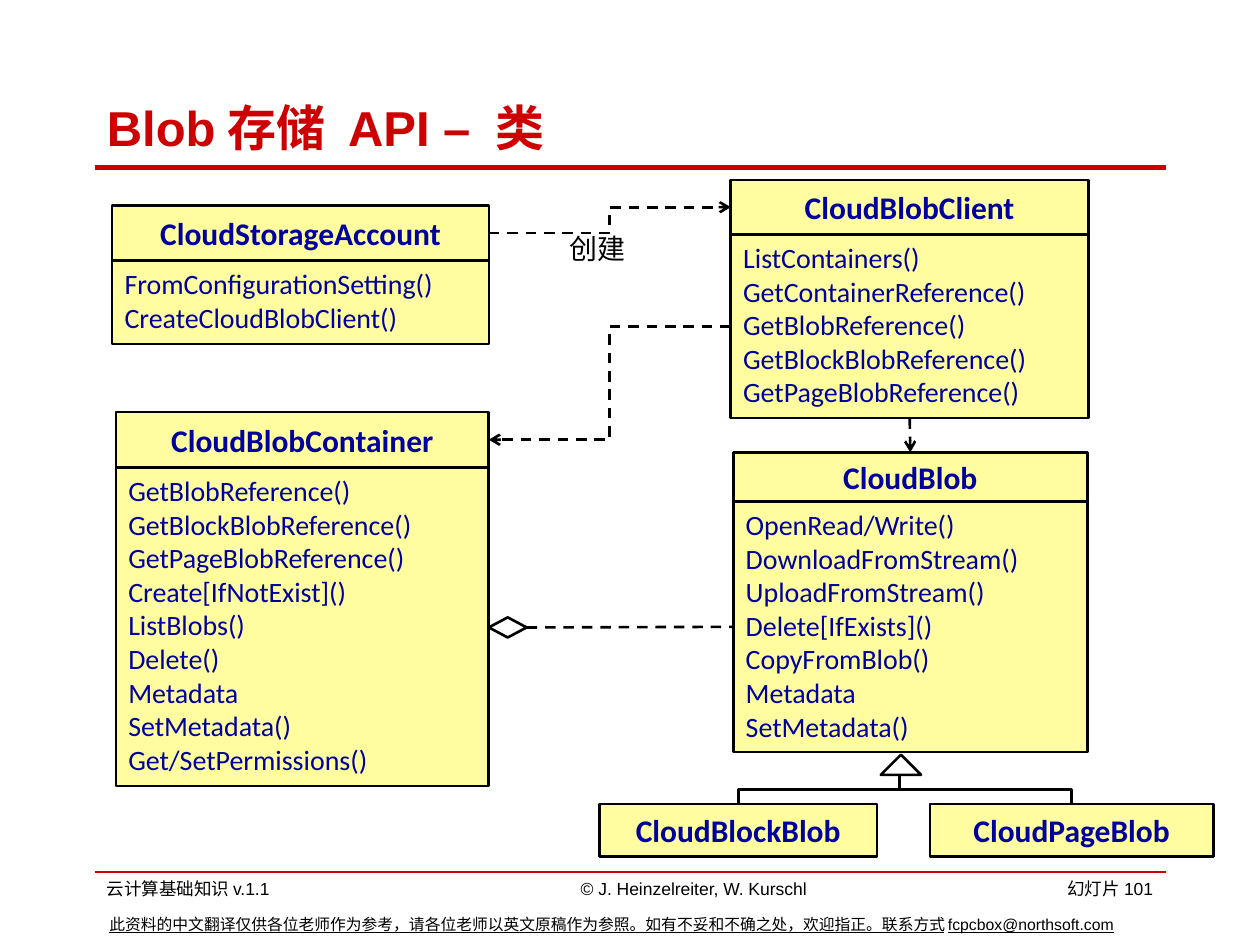
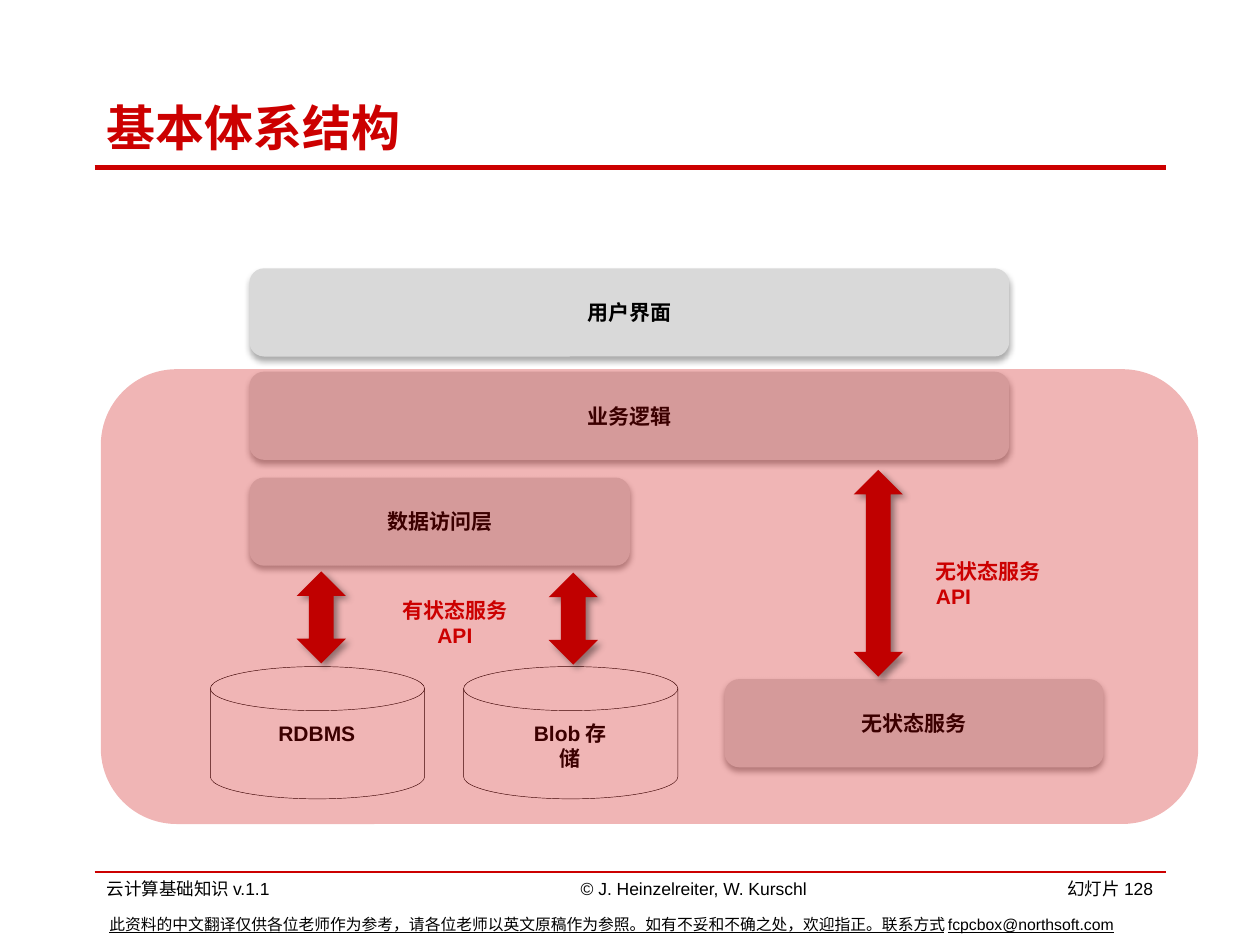
from lxml import etree
from pptx import Presentation
from pptx import util as u
from pptx.dml.color import RGBColor
from pptx.enum import dml, shapes, text
from pptx.oxml import ns

RED = RGBColor(0xCC, 0x00, 0x00)
DARK = RGBColor(0xC0, 0x00, 0x00)
BLACK = RGBColor(0x00, 0x00, 0x00)
NAVY = RGBColor(0x00, 0x00, 0x9E)
CREAM = RGBColor(0xFF, 0xFD, 0x9F)
GREY = RGBColor(0xD9, 0xD9, 0xD9)

PX = 9144
SHAPE = shapes.MSO_SHAPE
LINK = shapes.MSO_CONNECTOR
ALIGN = text.PP_ALIGN
ANCHOR = text.MSO_ANCHOR
TOP, LEFT, BOTTOM, RIGHT = range(4)


def emu(*sizes):
    return [u.Emu(round(size * PX)) for size in sizes]


def write(shape, lines, size, color=BLACK, face="Arial", bold=False, under=False,
          align=ALIGN.LEFT, anchor=ANCHOR.TOP, wrap=True):
    frame = shape.text_frame
    frame.word_wrap = wrap
    frame.vertical_anchor = anchor
    for i, line in enumerate(lines):
        para = frame.paragraphs[0] if i == 0 else frame.add_paragraph()
        para.alignment = align
        run = para.add_run()
        run.text = line
        font = run.font
        font.name, font.size, font.bold = face, u.Pt(size), bold
        font.underline = under
        font.color.rgb = color
    return frame


def label(slide, box, lines, size, **style):
    return write(slide.shapes.add_textbox(*emu(*box)), lines, size, **style)


def draw(slide, kind, box, fill=None, line=None, width=1.5):
    shape = slide.shapes.add_shape(kind, *emu(*box))
    shape.shadow.inherit = False
    if fill is None:
        shape.fill.background()
    else:
        shape.fill.solid()
        shape.fill.fore_color.rgb = fill
    if line is None:
        shape.line.fill.background()
    else:
        shape.line.color.rgb = line
        shape.line.width = u.Pt(width)
    return shape


def shade(shape, alpha, blur, dist, angle):
    effect = shape._element.spPr.find(ns.qn("a:effectLst"))
    outer = etree.SubElement(effect, ns.qn("a:outerShdw"), blurRad=str(u.Pt(blur)),
                             dist=str(u.Pt(dist)), dir=str(angle * 60000),
                             algn="ctr", rotWithShape="0")
    color = etree.SubElement(outer, ns.qn("a:srgbClr"), val=str(BLACK))
    etree.SubElement(color, ns.qn("a:alpha"), val=str(alpha * 1000))


def wire(slide, kind, ends, color=BLACK, width=1.5, dash=False, arrow=False):
    line = slide.shapes.add_connector(kind, *emu(*ends))
    line.line.color.rgb = color
    line.line.width = u.Pt(width)
    if dash:
        line.line.dash_style = dml.MSO_LINE.DASH
    if arrow:
        etree.SubElement(line.line._get_or_add_ln(), ns.qn("a:tailEnd"), type="arrow")
    etree.SubElement(line._element.spPr, ns.qn("a:effectLst"))
    return line


def join(slide, kind, start, out, end, into, arrow=True):
    line = wire(slide, kind, (0, 0, 0, 0), dash=True, arrow=arrow)
    line.begin_connect(start, out)
    line.end_connect(end, into)


def branch(slide, x, y, to_x, to_y):
    mid_x, mid_y = (x + to_x) / 2, (y + to_y) / 2
    half_x, half_y = (to_x - x) / 2, (to_y - y) / 2
    line = wire(slide, LINK.ELBOW, (mid_x - half_y, mid_y + half_x,
                                    mid_x + half_y, mid_y - half_x))
    line._element.spPr.find(ns.qn("a:xfrm")).set("rot", "5400000")


def base(deck, title, page):
    slide = deck.slides.add_slide(deck.slide_layouts[6])
    for y, width in ((692, 1), (133, 3)):
        wire(slide, LINK.STRAIGHT, (75, y, 925, y), RED, width)
    label(slide, (75, 67, 858, 67), [title], 28, color=RED, bold=True,
          anchor=ANCHOR.MIDDLE)
    label(slide, (75, 692, 296, 27), ["云计算基础知识v.1.1"], 10)
    label(slide, (449, 692, 203, 27), ["© J. Heinzelreiter, W. Kurschl"], 10,
          align=ALIGN.CENTER, wrap=False)
    label(slide, (825, 692, 100, 27), [f"幻灯片{page}"], 10, align=ALIGN.RIGHT)
    label(slide, (77, 721, 861, 25),
          ["此资料的中文翻译仅供各位老师作为参考，请各位老师以英文原稿作为参照。"
           "如有不妥和不确之处，欢迎指正。联系方式fcpcbox@northsoft.com"], 9, under=True)
    return slide


def head(slide, box, name):
    shape = draw(slide, SHAPE.RECTANGLE, box, CREAM, BLACK)
    write(shape, [name], 18, NAVY, "Calibri", bold=True,
          align=ALIGN.CENTER, anchor=ANCHOR.MIDDLE)
    return shape


def entry(slide, box, split, name, calls):
    x, y, w, h = box
    top = head(slide, (x, y, w, split), name)
    body = draw(slide, SHAPE.RECTANGLE, (x, y + split, w, h - split), CREAM, BLACK)
    write(body, calls, 16, NAVY, "Calibri")
    return top, body


def classes(deck):
    slide = base(deck, "Blob存储 API – 类", 101)
    client, finder = entry(slide, (580, 143, 284, 189), 43, "CloudBlobClient", [
        "ListContainers()", "GetContainerReference()", "GetBlobReference()",
        "GetBlockBlobReference()", "GetPageBlobReference()"])
    account, _ = entry(slide, (89, 163, 299, 110), 44, "CloudStorageAccount", [
        "FromConfigurationSetting()", "CreateCloudBlobClient()"])
    holder, _ = entry(slide, (92, 327, 296, 297), 44, "CloudBlobContainer", [
        "GetBlobReference()", "GetBlockBlobReference()", "GetPageBlobReference()",
        "Create[IfNotExist]()", "ListBlobs()", "Delete()", "Metadata",
        "SetMetadata()", "Get/SetPermissions()"])
    blob, store = entry(slide, (582, 359, 281, 238), 39, "CloudBlob", [
        "OpenRead/Write()", "DownloadFromStream()", "UploadFromStream()",
        "Delete[IfExists]()", "CopyFromBlob()", "Metadata", "SetMetadata()"])
    label(slide, (424, 179, 100, 31), ["创建"], 16, align=ALIGN.CENTER)
    join(slide, LINK.ELBOW, account, RIGHT, client, LEFT)
    join(slide, LINK.ELBOW, finder, LEFT, holder, RIGHT)
    join(slide, LINK.STRAIGHT, finder, BOTTOM, blob, TOP)
    whole = draw(slide, SHAPE.FLOWCHART_DECISION, (388, 490, 30, 16), line=BLACK)
    join(slide, LINK.STRAIGHT, whole, RIGHT, store, LEFT, arrow=False)
    heirs(slide, 714, 599)


def heirs(slide, x, y):
    tip = draw(slide, SHAPE.UP_ARROW, (x - 15, y, 32, 16), line=BLACK)
    tip.adjustments[0], tip.adjustments[1] = 0, 1
    for left, width, name in ((476, 220, "CloudBlockBlob"), (738, 225, "CloudPageBlob")):
        head(slide, (left, y + 39, width, 42), name)
        branch(slide, x, y + 16, left + width / 2, y + 39)


def layer(slide, box, name):
    shape = draw(slide, SHAPE.ROUNDED_RECTANGLE, box, GREY)
    shade(shape, 32, 3.5, 2.2, 90)
    write(shape, [name], 12, bold=True, align=ALIGN.CENTER, anchor=ANCHOR.MIDDLE)


def disk(slide, x, y, name, wrap):
    draw(slide, SHAPE.FLOWCHART_MAGNETIC_DISK, (x, y, 170, 105), line=BLACK, width=0.25)
    label(slide, (x + 39, y + 38, 91, 30), [name], 12, bold=True,
          align=ALIGN.CENTER, wrap=wrap)


def arrow(slide, x, y, length):
    thick = 39
    box = (x - length / 2, y - thick / 2, length, thick)
    shape = draw(slide, SHAPE.LEFT_RIGHT_ARROW, box, DARK)
    shape.rotation = 90
    shade(shape, 40, 4, 3, 45)


def system(deck):
    slide = base(deck, "基本体系结构", 128)
    disk(slide, 167, 529, "RDBMS", False)
    disk(slide, 368, 529, "Blob存储", True)
    for x, y, w, name in ((198, 213, 603, "用户界面"), (198, 295, 603, "业务逻辑"),
                          (198, 379, 302, "数据访问层"), (575, 539, 301, "无状态服务")):
        layer(slide, (x, y, w, 70), name)
    label(slide, (307, 469, 108, 50), ["有状态服务", "API"], 12, color=RED, bold=True,
          align=ALIGN.CENTER, wrap=False)
    label(slide, (733, 438, 131, 50), ["无状态服务", "API"], 12, color=RED, bold=True)
    cloud = draw(slide, SHAPE.ROUNDED_RECTANGLE, (80, 293, 871, 361), RED)
    tint = cloud._element.spPr.find(".//" + ns.qn("a:srgbClr"))
    etree.SubElement(tint, ns.qn("a:alpha"), val="29000")
    for x, y, length in ((697, 455, 164), (455, 491, 73), (255, 490, 73)):
        arrow(slide, x, y, length)


def main():
    deck = Presentation()
    deck.slide_width, deck.slide_height = emu(1000, 750)
    classes(deck)
    system(deck)
    deck.save("out.pptx")


if __name__ == "__main__":
    main()
